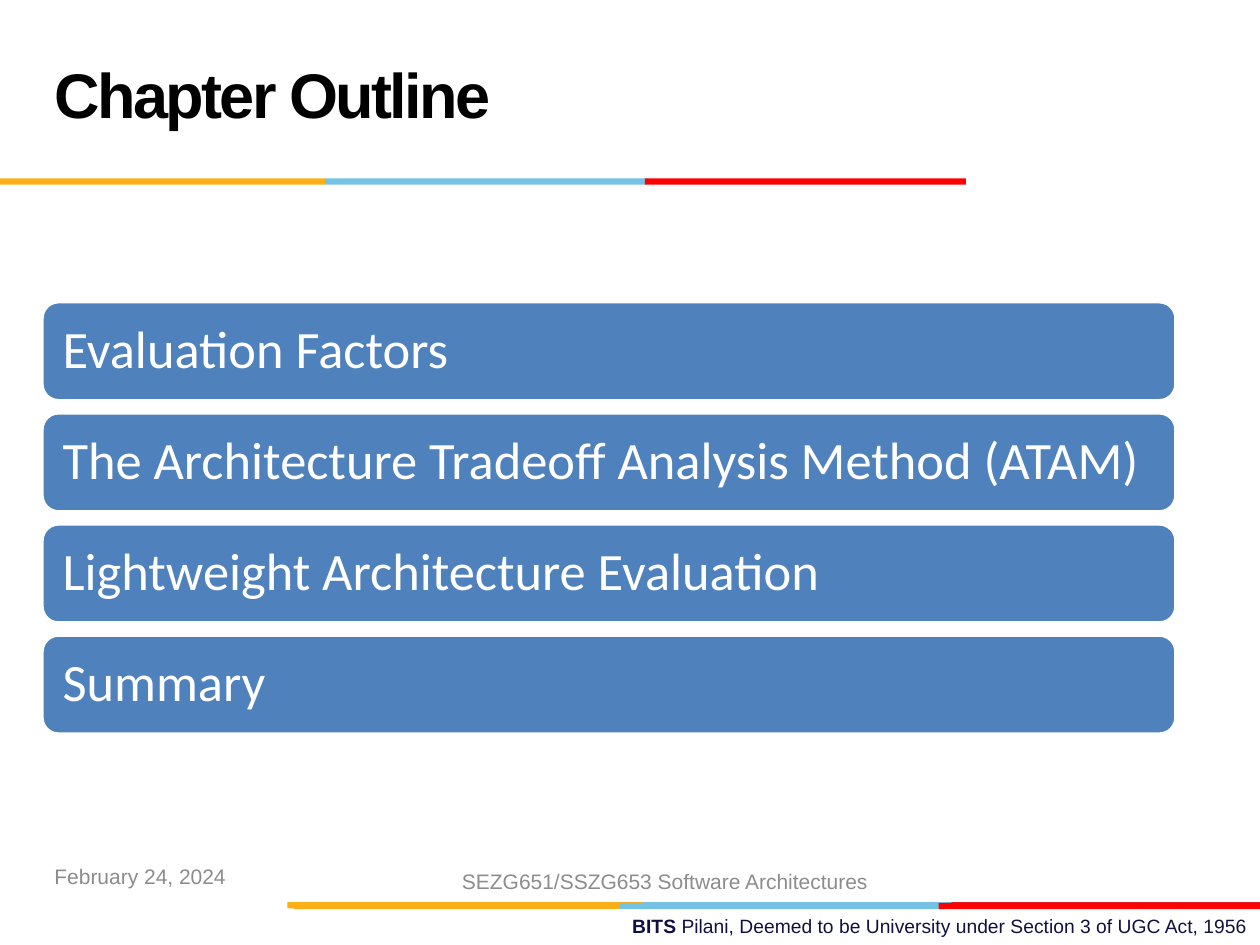
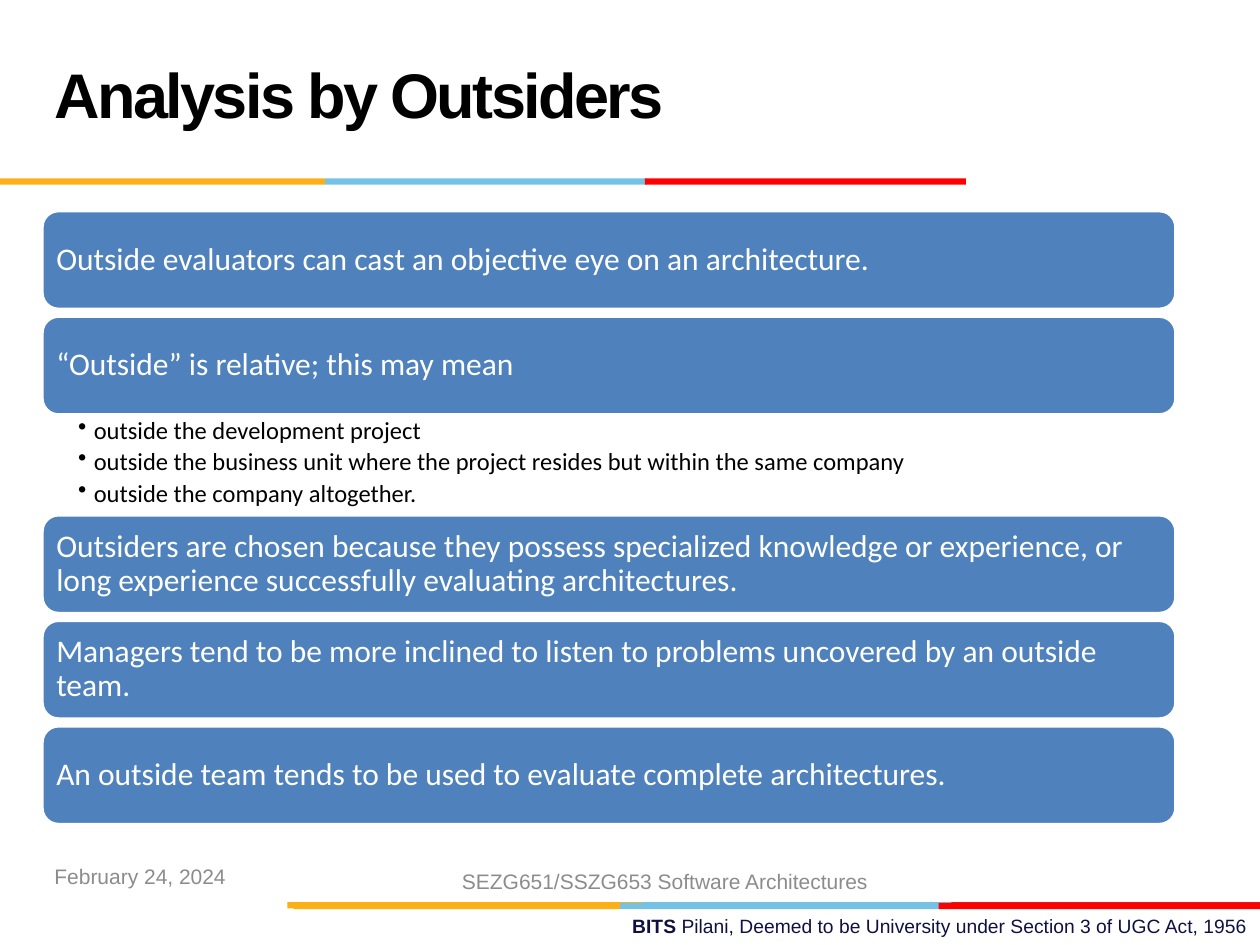
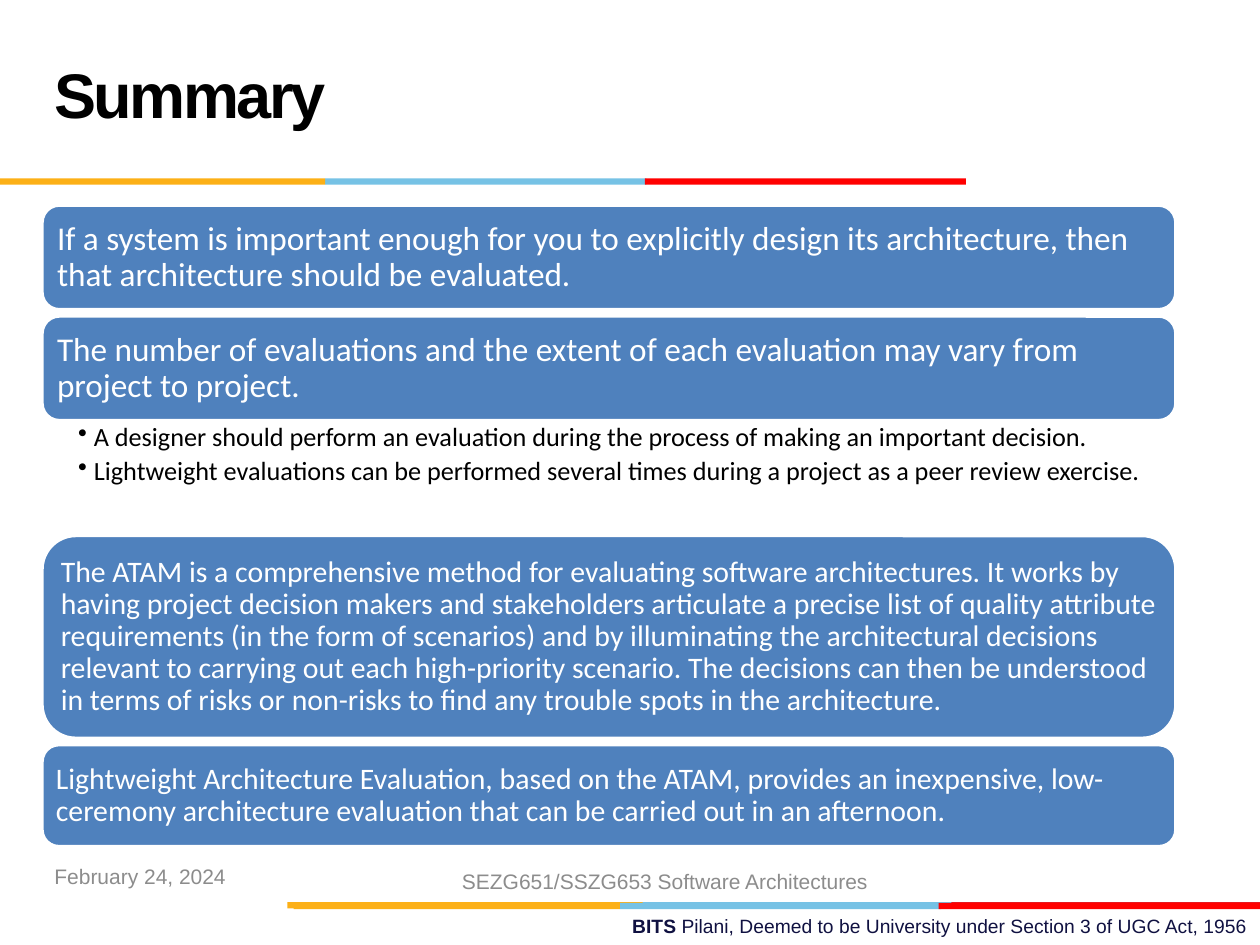
"""Build three chapter slides on software architecture evaluation."""
from lxml import etree
from pptx import Presentation
from pptx.dml.color import RGBColor
from pptx.enum.shapes import MSO_SHAPE
from pptx.enum.text import MSO_ANCHOR, MSO_AUTO_SIZE, PP_ALIGN
from pptx.oxml.ns import qn
from pptx.util import Pt

RECT, ROUNDED = MSO_SHAPE.RECTANGLE, MSO_SHAPE.ROUNDED_RECTANGLE
TOP, MIDDLE = MSO_ANCHOR.TOP, MSO_ANCHOR.MIDDLE
LEFT, CENTER, RIGHT = PP_ALIGN.LEFT, PP_ALIGN.CENTER, PP_ALIGN.RIGHT
NO_AUTOFIT = MSO_AUTO_SIZE.NONE

COLORS = {
    "black": "000000", "white": "FFFFFF", "grey": "8C8C8C", "navy": "101141",
    "card": "4F81BD", "yellow": "FCB017", "sky": "76C2E5", "red": "FF0000",
    "crimson": "E31C24",
}
BANDS = [
    (515.5, [("sky", 364.3, 183.6), ("crimson", 543.6, 176.4), ("yellow", 164.2, 203)]),
    (516, [("sky", 354.2, 183.6), ("yellow", 167.8, 186.4), ("red", 536.4, 183.6)]),
    (102, [("sky", 185.8, 183.6), ("yellow", 0, 185.8), ("red", 368.6, 183.4)]),
]
BAND_HEIGHT = 3.6
CONTENT_LEFT, CONTENT_WIDTH = 24, 648


def color(name):
    """Return the named palette colour."""
    return RGBColor.from_string(COLORS[name])


def write(frame, text, lead="", size=12, font="Arial", ink="black", bold=False,
          align=LEFT, anchor=MIDDLE, insets=(7.2, 3.6, 7.2, 3.6),
          line_spacing=None, space_after=None, tracking=None, bullet=None):
    """Fill a text frame, one paragraph per line, with an optional bold lead."""
    frame.word_wrap = True
    frame.auto_size = NO_AUTOFIT
    frame.vertical_anchor = anchor
    (frame.margin_left, frame.margin_top,
     frame.margin_right, frame.margin_bottom) = map(Pt, insets)
    for index, line in enumerate(text.split("\n")):
        paragraph = frame.add_paragraph() if index else frame.paragraphs[0]
        if bullet:
            properties = paragraph._p.get_or_add_pPr()
            properties.set("marL", str(Pt(9)))
            properties.set("indent", str(-Pt(9)))
            etree.SubElement(properties, qn("a:buChar")).set("char", bullet)
        paragraph.alignment = align
        paragraph.line_spacing = line_spacing
        paragraph.space_before = Pt(0)
        paragraph.space_after = space_after
        for words, strong in ((lead, True), (line, bold)):
            if not words:
                continue
            run = paragraph.add_run()
            run.text = words
            run.font.name, run.font.size, run.font.bold = font, Pt(size), strong
            run.font.color.rgb = color(ink)
            if tracking:
                run._r.get_or_add_rPr().set("spc", str(round(tracking * 100)))


class Deck:
    """Hold the shared style and the slide being built."""

    def __init__(self):
        """Start an empty 10 by 7.5 inch presentation."""
        self.presentation = Presentation()
        self.presentation.slide_width = Pt(720)
        self.presentation.slide_height = Pt(540)
        self.slide = None

    def start_slide(self, title):
        """Add a slide with its title, colour bands and footers."""
        layout = self.presentation.slide_layouts[5]
        self.slide = self.presentation.slides.add_slide(layout)
        heading = self.slide.shapes.title
        heading.left, heading.top, heading.width, heading.height = map(
            Pt, (CONTENT_LEFT, 12, 498, 90))
        write(heading.text_frame, title, size=36, bold=True,
              line_spacing=Pt(36), tracking=-1.5)
        self.label("Pilani, Deemed to be University under Section 3 of UGC Act, 1956",
                   258, 519, 462, 21, lead="BITS ", size=11, ink="navy",
                   align=RIGHT, anchor=TOP)
        for top, segments in BANDS:
            for fill, left, width in segments:
                self.block(RECT, left, top, width, BAND_HEIGHT, fill)
        self.label("February 24, 2024", CONTENT_LEFT, 486, 168, 28.8, ink="grey")
        self.label("SEZG651/SSZG653 Software Architectures",
                   250.5, 489, 259, 28.8, ink="grey", align=CENTER)

    def block(self, kind, left, top, width, height, fill, outline=None):
        """Add a filled shape."""
        shape = self.slide.shapes.add_shape(kind, *map(Pt, (left, top, width, height)))
        shape.shadow.inherit = False
        shape.fill.solid()
        shape.fill.fore_color.rgb = color(fill)
        if outline:
            shape.line.color.rgb = color(outline)
            shape.line.width = Pt(2)
        else:
            shape.line.fill.background()
        return shape

    def label(self, text, left, top, width, height, **style):
        """Add a text box."""
        box = self.slide.shapes.add_textbox(*map(Pt, (left, top, width, height)))
        write(box.text_frame, text, **style)

    def cards(self, top, height, gap, size, statements):
        """Stack equal cards and return the bottom of the last."""
        for index, statement in enumerate(statements):
            card = self.block(ROUNDED, CONTENT_LEFT, top + index * (height + gap),
                              CONTENT_WIDTH, height, "card", outline="white")
            write(card.text_frame, statement, size=size, font="Calibri", ink="white",
                  insets=[0.3 * size] * 4, line_spacing=0.9)
        return top + len(statements) * (height + gap) - gap

    def bullets(self, top, height, size, points):
        """Add a bulleted list under a card and return its bottom."""
        self.label("\n".join(points), CONTENT_LEFT, top, CONTENT_WIDTH, height,
                   size=size, font="Calibri", anchor=TOP, bullet="•",
                   insets=(20.6, 0.13 * size, 0.72 * size, 0.13 * size),
                   line_spacing=0.9, space_after=Pt(0.2 * size))
        return top + height


def outline_slide(deck):
    """Build the chapter outline."""
    deck.start_slide("Chapter Outline")
    deck.cards(172.4, 56.6, 6.9, 30, [
        "Evaluation Factors",
        "The Architecture Tradeoff Analysis Method (ATAM)",
        "Lightweight Architecture Evaluation",
        "Summary",
    ])


def outsiders_slide(deck):
    """Build the slide on outside evaluators."""
    deck.start_slide("Analysis by Outsiders")
    height, gap, size = 56.4, 3.9, 18
    bottom = deck.cards(120.4, height, gap, size, [
        "Outside evaluators can cast an objective eye on an architecture.",
        "“Outside” is relative; this may mean",
    ])
    bottom = deck.bullets(bottom, 57.1, 14, [
        "outside the development project",
        "outside the business unit where the project resides but within the same company",
        "outside the company altogether.",
    ])
    deck.cards(bottom, height, gap, size, [
        "Outsiders are chosen because they possess specialized knowledge or experience, "
        "or long experience successfully evaluating architectures.",
        "Managers tend to be more inclined to listen to problems uncovered by an "
        "outside team.",
        "An outside team tends to be used to evaluate complete architectures.",
    ])


def summary_slide(deck):
    """Build the closing summary."""
    deck.start_slide("Summary")
    gap = 3.6
    bottom = deck.cards(117.2, 59.8, gap, 19, [
        "If a system is important enough for you to explicitly design its architecture, "
        "then that architecture should be evaluated.",
        "The number of evaluations and the extent of each evaluation may vary from "
        "project to project.",
    ])
    deck.bullets(bottom, 41, 15, [
        "A designer should perform an evaluation during the process of making an "
        "important decision.",
        "Lightweight evaluations can be performed several times during a project as a "
        "peer review exercise.",
    ])
    bottom = deck.cards(306, 115.9, gap, 17, [
        "The ATAM is a comprehensive method for evaluating software architectures. It "
        "works by having project decision makers and stakeholders articulate a precise "
        "list of quality attribute requirements (in the form of scenarios) and by "
        "illuminating the architectural decisions relevant to carrying out each "
        "high-priority scenario. The decisions can then be understood in terms of risks "
        "or non-risks to find any trouble spots in the architecture.",
    ])
    deck.cards(bottom + gap, 58.3, gap, 17, [
        "Lightweight Architecture Evaluation, based on the ATAM, provides an "
        "inexpensive, low-ceremony architecture evaluation that can be carried out in "
        "an afternoon.",
    ])


def main():
    """Build and save the deck."""
    deck = Deck()
    outline_slide(deck)
    outsiders_slide(deck)
    summary_slide(deck)
    deck.presentation.save("out.pptx")


if __name__ == "__main__":
    main()
